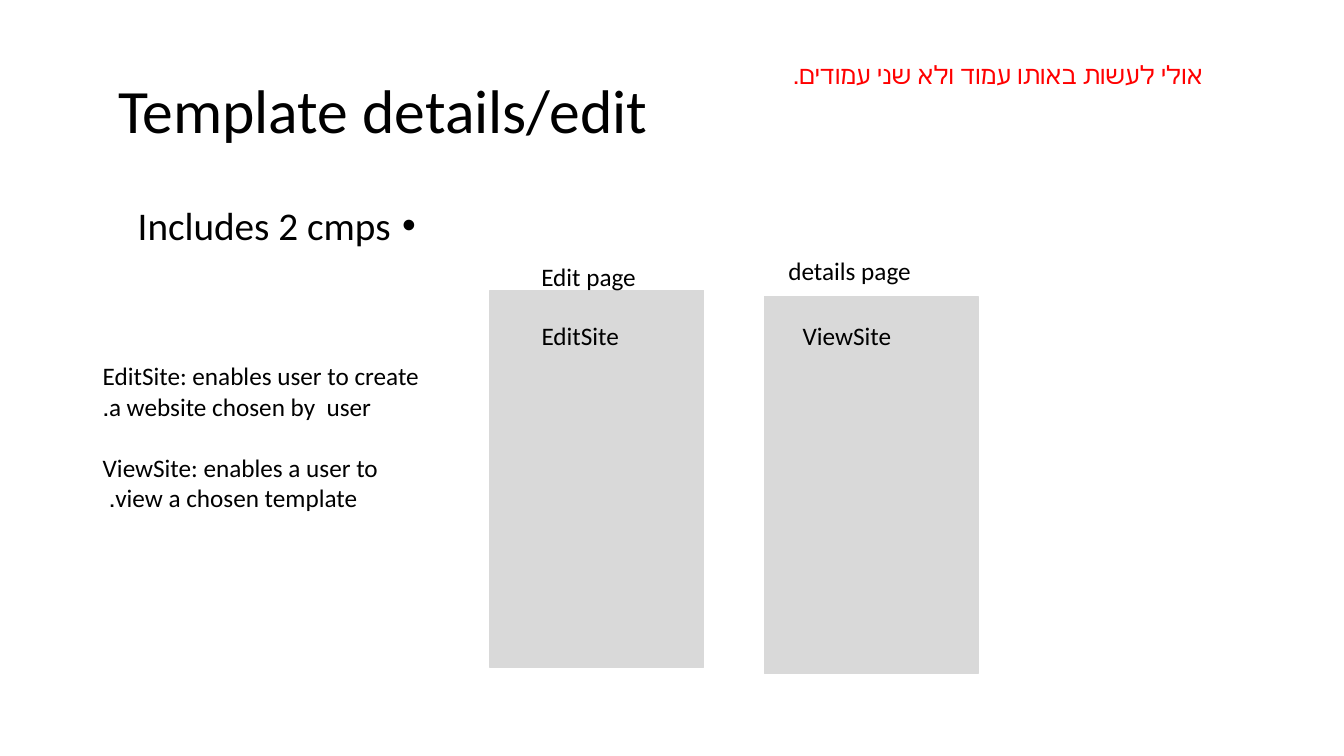
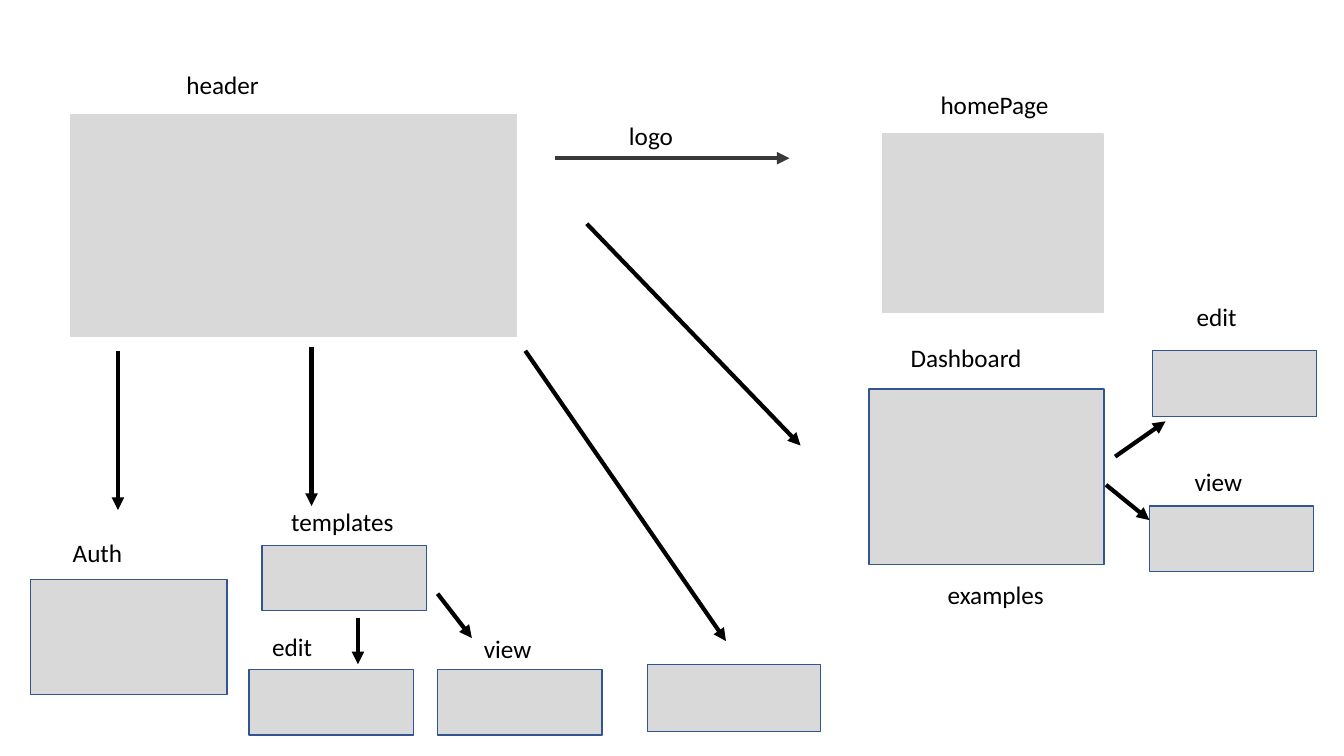
"""Build two slides that sketch the pages of a site builder and the links between them."""
from dataclasses import dataclass

from lxml import etree
from pptx import Presentation
from pptx import util as u
from pptx.dml.color import RGBColor
from pptx.enum import shapes, text
from pptx.oxml import ns

BLACK = RGBColor(0x00, 0x00, 0x00)
RED = RGBColor(0xFF, 0x00, 0x00)
DARK = RGBColor(0x3B, 0x38, 0x38)
GREY = RGBColor(0xD9, 0xD9, 0xD9)
BLUE = RGBColor(0x32, 0x54, 0x91)
FONT = "Calibri"
LEFT = text.PP_ALIGN.LEFT
RIGHT = text.PP_ALIGN.RIGHT
TOP = text.MSO_ANCHOR.TOP
MIDDLE = text.MSO_ANCHOR.MIDDLE
CARD_W, CARD_H = 1.63, 0.65
PAGE_W, PAGE_H = 2.12, 3.74


@dataclass
class Box:
    x: float
    y: float
    w: float = CARD_W
    h: float = CARD_H
    edge: RGBColor = BLUE


@dataclass
class Label:
    words: str
    x: float
    y: float
    w: float = 1.0
    h: float = 0.4
    size: int = 18
    color: RGBColor = BLACK
    align: text.PP_ALIGN = LEFT
    anchor: text.MSO_ANCHOR = TOP
    rtl: bool = True
    grow: bool = True
    pitch: float = 1.0
    before: int = 0
    gap: int = 0
    bullet: bool = False


@dataclass
class Arrow:
    x1: float
    y1: float
    x2: float
    y2: float
    color: RGBColor = BLACK


def draw_box(slide, box: Box) -> None:
    place = [u.Inches(n) for n in (box.x, box.y, box.w, box.h)]
    rect = slide.shapes.add_shape(shapes.MSO_SHAPE.RECTANGLE, *place)
    rect.shadow.inherit = False
    rect.fill.solid()
    rect.fill.fore_color.rgb = GREY
    rect.line.color.rgb = box.edge
    rect.line.width = u.Pt(1)


def draw_label(slide, label: Label) -> None:
    place = [u.Inches(n) for n in (label.x, label.y, label.w, label.h)]
    frame = slide.shapes.add_textbox(*place).text_frame
    frame.word_wrap = True
    frame.vertical_anchor = label.anchor
    if label.grow:
        frame.auto_size = text.MSO_AUTO_SIZE.SHAPE_TO_FIT_TEXT
    frame.text = label.words
    for i, para in enumerate(frame.paragraphs):
        para.alignment = label.align
        para.line_spacing = label.pitch
        para.space_before = u.Pt(label.gap if i else label.before)
        props = para._p.get_or_add_pPr()
        if label.rtl:
            props.set("rtl", "1")
        if label.bullet:
            indent = u.Inches(0.25)
            props.set("marR", str(indent))
            props.set("marL", str(indent))
            props.set("indent", str(-indent))
            etree.SubElement(props, ns.qn("a:buFont"), typeface="Arial")
            etree.SubElement(props, ns.qn("a:buChar"), char="•")
        for run in para.runs:
            run.font.name = FONT
            run.font.size = u.Pt(label.size)
            run.font.color.rgb = label.color


def draw_arrow(slide, arrow: Arrow) -> None:
    ends = [u.Inches(n) for n in (arrow.x1, arrow.y1, arrow.x2, arrow.y2)]
    link = slide.shapes.add_connector(shapes.MSO_CONNECTOR.STRAIGHT, *ends)
    link.line.color.rgb = arrow.color
    link.line.width = u.Pt(3)
    props = link.element.spPr
    line = props.find(ns.qn("a:ln"))
    etree.SubElement(line, ns.qn("a:tailEnd"), type="triangle")
    etree.SubElement(props, ns.qn("a:effectLst"))


DRAW = {Box: draw_box, Label: draw_label, Arrow: draw_arrow}

DETAILS = [
    Label("Template details/edit ", 0.92, 0.4, 11.5, 1.45, size=44,
          anchor=MIDDLE, grow=False, pitch=0.9),
    Label("Includes 2 cmps ", 0.92, 2, 11.5, 4.76, size=28,
          grow=False, pitch=0.9, before=10, bullet=True),
    Box(4.86, 2.88, PAGE_W, PAGE_H, GREY),
    Box(7.58, 2.94, PAGE_W, PAGE_H, GREY),
    Label("EditSite ", 5.21, 3.13, 1.51),
    Label("ViewSite ", 7.8, 3.13, 1.46),
    Label("Edit page", 5.27, 2.54, 1.61),
    Label("details page", 7.72, 2.48, 1.61),
    Label("EditSite: enables user to create a website chosen by  user.\n"
          "ViewSite: enables a user to view a chosen template. ",
          0.92, 3.53, 3.38, 1.62, gap=22),
    Label("אולי לעשות באותו עמוד ולא שני עמודים.", 7.58, 0.54, 4.45,
          color=RED, align=RIGHT),
]

SITE_MAP = [
    Box(0.7, 1.14, 4.42, 2.2, GREY),
    Box(8.75, 1.33, 2.19, 1.77, GREY),
    Box(8.62, 3.86, 2.33, 1.74),
    Box(6.42, 6.59, 1.72, 0.67),
    Box(0.3, 5.75, 1.95, 1.14),
    Box(2.6, 5.41),
    Box(2.47, 6.64),
    Box(4.34, 6.64),
    Box(11.43, 3.48),
    Box(11.4, 5.02),
    Arrow(5.5, 1.57, 7.83, 1.57, DARK),
    Arrow(5.82, 2.22, 7.94, 4.42),
    Arrow(5.21, 3.48, 7.2, 6.36),
    Arrow(3.09, 3.44, 3.09, 5.02),
    Arrow(1.17, 3.48, 1.17, 5.06),
    Arrow(4.34, 5.89, 4.68, 6.33),
    Arrow(3.55, 6.13, 3.55, 6.59),
    Arrow(11.06, 4.53, 11.56, 4.18),
    Arrow(10.97, 4.81, 11.4, 5.16),
    Label("header", 1.75, 0.64, 2.39),
    Label("homePage", 9.23, 0.84, 1.32, rtl=False),
    Label("logo", 6.14, 1.14, 1.16),
    Label("Dashboard ", 8.87, 3.35, 1.82),
    Label("examples", 9.3, 5.7, 1.25),
    Label("templates", 2.79, 4.97, 1.25),
    Label("Auth ", 0.56, 5.28, 1.42),
    Label("edit", 2.6, 6.21),
    Label("view", 4.7, 6.23),
    Label("edit", 11.77, 2.94),
    Label("view", 11.75, 4.58),
]


def build() -> None:
    deck = Presentation()
    deck.slide_width = u.Inches(13.33)
    deck.slide_height = u.Inches(7.5)
    for items in (DETAILS, SITE_MAP):
        slide = deck.slides.add_slide(deck.slide_layouts[6])
        for item in items:
            DRAW[type(item)](slide, item)
    deck.save("out.pptx")


build()
